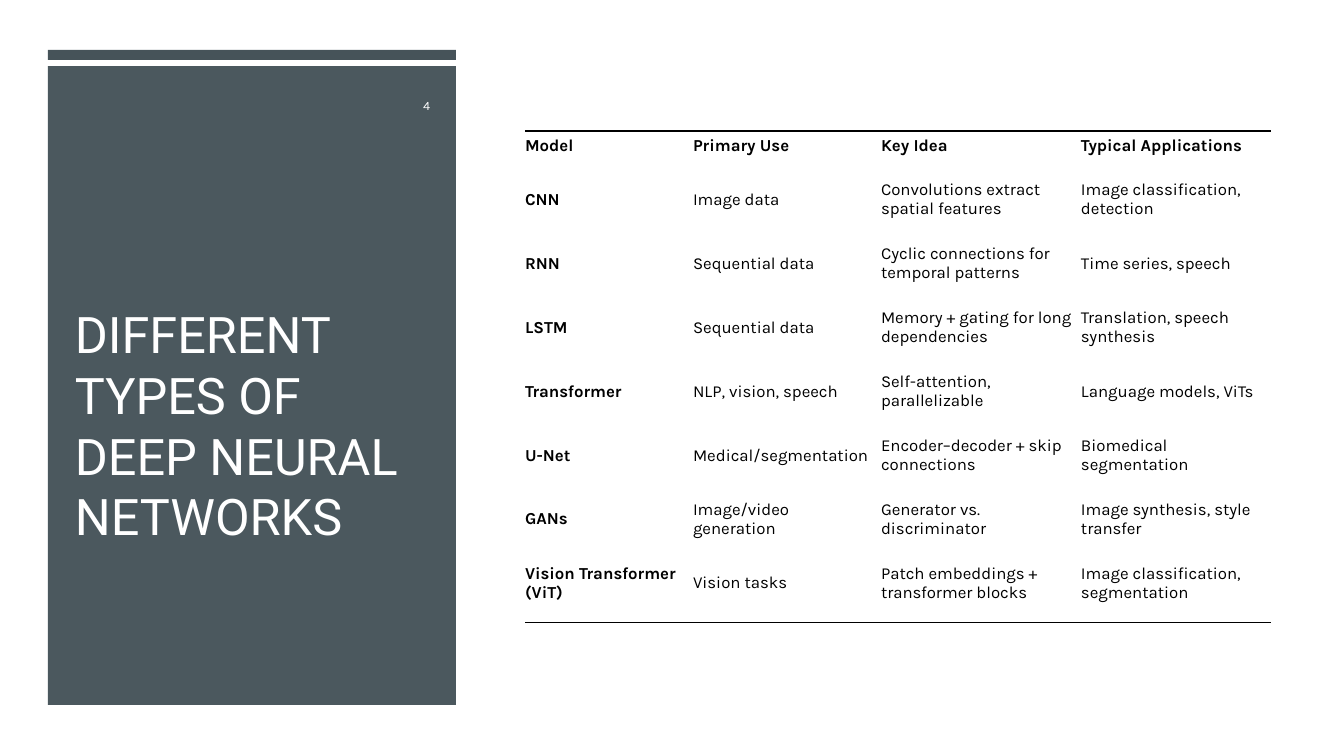
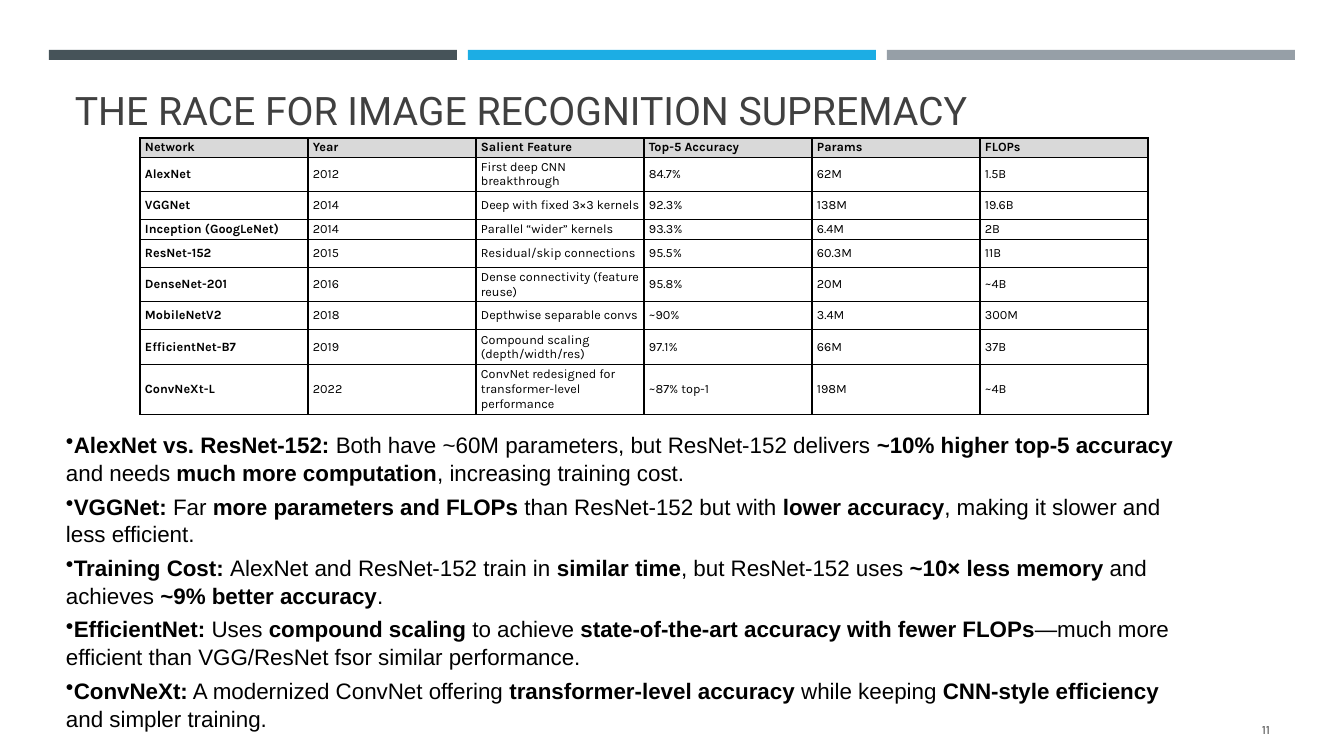
"""Build two slides on deep neural networks: a model overview and an image recognition comparison."""
from lxml.etree import SubElement
from pptx import Presentation
from pptx.dml.color import RGBColor
from pptx.enum.shapes import MSO_SHAPE
from pptx.enum.text import MSO_ANCHOR, PP_ALIGN
from pptx.oxml.ns import qn
from pptx.util import Pt

PX = 9071
COLOR = {"slate": "465359", "blue": "1CADE4", "gray": "969FA7", "ink": "404040",
         "black": "000000", "white": "FFFFFF", "head": "D9D9D9"}
TITLE = dict(font="Roboto", anchor=MSO_ANCHOR.BOTTOM)
NUMBER = dict(size=9, align=PP_ALIGN.RIGHT)
BAND = (408, 10)


def write(frame, text, size=12, font="Karla", color="black", bold=False, align=None,
          anchor=MSO_ANCHOR.MIDDLE, line=None, after=0, bullet=None):
    """Fill a frame: newlines part paragraphs, double stars toggle bold."""
    frame.word_wrap = True
    frame.vertical_anchor = anchor
    for i, part in enumerate(text.split("\n")):
        para = frame.add_paragraph() if i else frame.paragraphs[0]
        para.alignment = align
        para.space_after = Pt(after)
        if line:
            para.line_spacing = line
        if bullet:
            props = para._p.get_or_add_pPr()
            props.set("marL", "0")
            props.set("indent", "0")
            SubElement(props, qn("a:buChar"), char=bullet)
        for j, piece in enumerate(part.split("**")):
            if piece:
                run = para.add_run()
                run.text = piece
                run.font.size = Pt(size)
                run.font.name = font
                run.font.bold = bold or j % 2 == 1
                run.font.color.rgb = RGBColor.from_string(COLOR[color])


def grid(slide, spot, cols, rows, data, size, pad, edges, head=None):
    """Draw a table; edges maps a row number to the border sides of its cells."""
    left, top = spot
    frame = slide.shapes.add_table(len(rows), len(cols), left * PX, top * PX,
                                   sum(cols) * PX, sum(rows) * PX)
    table = frame.table
    table.first_row = table.horz_banding = False
    style = table._tbl.tblPr.find(qn("a:tableStyleId"))
    style.text = "{2D5ABB26-0587-4C30-8999-92F81FD0307C}"
    for col, width in zip(table.columns, cols):
        col.width = width * PX
    for r, (high, texts) in enumerate(zip(rows, data)):
        table.rows[r].height = high * PX
        for c, text in enumerate(texts):
            cell = table.cell(r, c)
            (cell.margin_left, cell.margin_top,
             cell.margin_right, cell.margin_bottom) = [v * PX for v in pad]
            write(cell.text_frame, text, size=size, bold=r == 0 or c == 0)
            cell.vertical_anchor = MSO_ANCHOR.MIDDLE
            props = cell._tc.get_or_add_tcPr()
            for side in edges.get(r, ""):
                rule = SubElement(props, qn("a:ln" + side), w=str(Pt(1)))
                paint = SubElement(rule, qn("a:solidFill"))
                SubElement(paint, qn("a:srgbClr"), val=COLOR["black"])
            if r == 0 and head:
                cell.fill.solid()
                cell.fill.fore_color.rgb = RGBColor.from_string(COLOR[head])
            else:
                cell.fill.background()


deck = Presentation()
deck.slide_width, deck.slide_height = 1344 * PX, 756 * PX
types, race = [deck.slides.add_slide(deck.slide_layouts[6]) for _ in range(2)]

bars = [(types, (48, 66, 408, 639), "slate", 97),
        (types, (48, 50, *BAND), "slate", 100)]
for i, tint in enumerate(["slate", "blue", "gray"]):
    bars.append((race, (49 + i * 419, 50, *BAND), tint, 100))
for slide, box, tint, alpha in bars:
    bar = slide.shapes.add_shape(MSO_SHAPE.RECTANGLE, *[v * PX for v in box])
    bar.shadow.inherit = False
    bar.line.fill.background()
    bar.fill.solid()
    bar.fill.fore_color.rgb = RGBColor.from_string(COLOR[tint])
    if alpha < 100:
        hue = bar._element.spPr.find(qn("a:solidFill"))[0]
        SubElement(hue, qn("a:alpha"), val=str(alpha * 1000))

notes = """**AlexNet vs. ResNet-152:** Both have ~60M parameters, but ResNet-152 delivers **~10% higher top-5 accuracy** and needs **much more computation**, increasing training cost.
**VGGNet:** Far **more parameters and FLOPs** than ResNet-152 but with **lower accuracy**, making it slower and less efficient.
**Training Cost: **AlexNet and ResNet-152 train in **similar time**, but ResNet-152 uses **~10× less memory** and achieves **~9% better accuracy**.
**EfficientNet:** Uses **compound scaling** to achieve **state-of-the-art accuracy with fewer FLOPs**—much more efficient than VGG/ResNet fsor similar performance.
**ConvNeXt:** A modernized ConvNet offering **transformer-level accuracy** while keeping **CNN-style efficiency** and simpler training."""

labels = [
    (types, (65, 168, 376, 383), "DIFFERENT TYPES OF DEEP NEURAL NETWORKS",
     dict(TITLE, size=36, color="white", line=Pt(43.5))),
    (types, (381, 85, 59, 40), "4", dict(NUMBER, color="white")),
    (race, (65, 78, 1216, 60), "THE RACE FOR IMAGE RECOGNITION SUPREMACY",
     dict(TITLE, size=28, color="ink")),
    (race, (1164, 709, 116, 40), "11", dict(NUMBER, color="ink")),
    (race, (56, 429, 1147, 304), notes,
     dict(size=16, font="Arial", line=1.04, after=4, bullet="•")),
]
for slide, box, text, form in labels:
    area = slide.shapes.add_textbox(*[v * PX for v in box])
    write(area.text_frame, text, **form)

models = [
    ("Model", "Primary Use", "Key Idea", "Typical Applications"),
    ("CNN", "Image data", "Convolutions extract spatial features",
     "Image classification, detection"),
    ("RNN", "Sequential data", "Cyclic connections for temporal patterns",
     "Time series, speech"),
    ("LSTM", "Sequential data", "Memory + gating for long dependencies",
     "Translation, speech synthesis"),
    ("Transformer", "NLP, vision, speech", "Self-attention, parallelizable",
     "Language models, ViTs"),
    ("U-Net", "Medical/segmentation", "Encoder–decoder + skip connections",
     "Biomedical segmentation"),
    ("GANs", "Image/video generation", "Generator vs. discriminator",
     "Image synthesis, style transfer"),
    ("Vision Transformer (ViT)", "Vision tasks", "Patch embeddings + transformer blocks",
     "Image classification, segmentation"),
]
grid(types, (525, 131), [168, 188, 200, 190], [44] + [64] * 7, models,
     size=12, pad=(0, 2, 6, 17), edges={0: "T", 7: "B"})

nets = [
    ("Network", "Year", "Salient Feature", "Top-5 Accuracy", "Params", "FLOPs"),
    ("AlexNet", "2012", "First deep CNN breakthrough", "84.7%", "62M", "1.5B"),
    ("VGGNet", "2014", "Deep with fixed 3×3 kernels", "92.3%", "138M", "19.6B"),
    ("Inception (GoogLeNet)", "2014", "Parallel “wider” kernels", "93.3%", "6.4M", "2B"),
    ("ResNet-152", "2015", "Residual/skip connections", "95.5%", "60.3M", "11B"),
    ("DenseNet-201", "2016", "Dense connectivity (feature reuse)", "95.8%", "20M", "~4B"),
    ("MobileNetV2", "2018", "Depthwise separable convs", "~90%", "3.4M", "300M"),
    ("EfficientNet-B7", "2019", "Compound scaling (depth/width/res)", "97.1%", "66M", "37B"),
    ("ConvNeXt-L", "2022", "ConvNet redesigned for transformer-level performance",
     "~87% top-1", "198M", "~4B"),
]
grid(race, (140, 138), [168] * 6, [19, 34, 28, 20, 28, 34, 28, 35, 49], nets,
     size=9, pad=(5, 2, 5, 2), edges={r: "LRTB" for r in range(len(nets))}, head="head")

deck.save("out.pptx")
